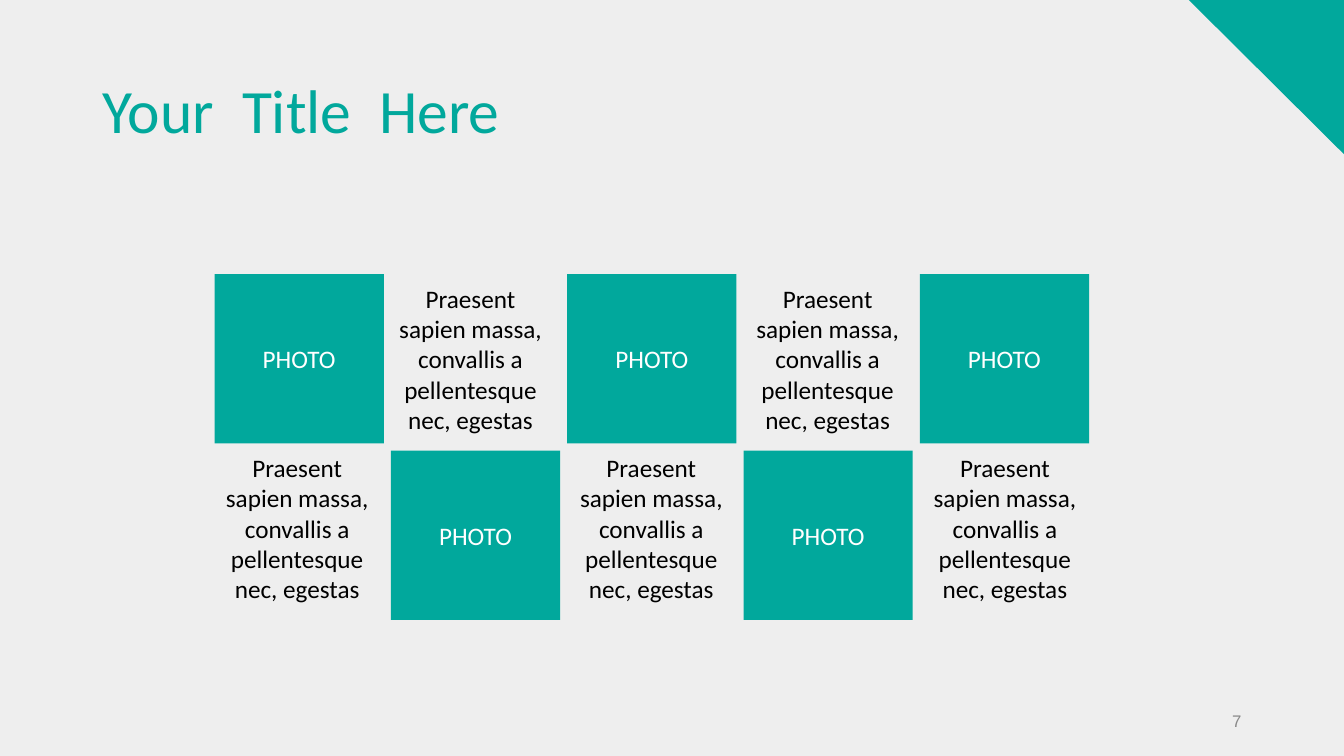
from pptx import Presentation
from pptx import util as u
from pptx.dml.color import RGBColor
from pptx.enum import shapes, text

TEAL, GREY, WHITE, BLACK, NUMBER_GREY = "01A89C", "EEEEEE", "FFFFFF", "000000", "898989"
TITLE = "Your  Title  Here"
PHOTO = "PHOTO"
CAPTION = "Praesent sapien massa, convallis a pellentesque nec, egestas"
PAGE_NUMBER = "7"

GRID_LEFT, GRID_TOP, TILE, PITCH = 2.13, 2.72, 1.68, 1.75
CAPTION_TOPS = [2.76, 4.44]
CAPTION_SPANS = [(2.07, 1.76), (3.77, 1.8), (5.58, 1.77), (7.35, 1.73), (9.11, 1.73)]
CAPTION_HEIGHT = 1.6


def color(value):
    return RGBColor.from_string(value)


def lengths(*values):
    return [u.Inches(value) for value in values]


def write(box, words, size, ink, align, anchor, font="Calibri"):
    frame = box.text_frame
    frame.word_wrap = True
    frame.vertical_anchor = anchor
    para = frame.paragraphs[0]
    para.text = words
    para.alignment = align
    para.font.name = font
    para.font.size = u.Pt(size)
    para.font.color.rgb = color(ink)
    return para


def add_block(page, kind, place, fill):
    block = page.shapes.add_shape(kind, *lengths(*place))
    block.shadow.inherit = False
    block.fill.solid()
    block.fill.fore_color.rgb = color(fill)
    block.line.fill.background()
    return block


def add_text(page, place, *style):
    return write(page.shapes.add_textbox(*lengths(*place)), *style)


def main():
    deck = Presentation()
    deck.slide_width, deck.slide_height = lengths(13.34, 7.5)
    page = deck.slides.add_slide(deck.slide_layouts[6])
    page.background.fill.solid()
    page.background.fill.fore_color.rgb = color(GREY)

    kinds, align, anchor = shapes.MSO_SHAPE, text.PP_ALIGN, text.MSO_ANCHOR
    corner = add_block(page, kinds.RIGHT_TRIANGLE, (11.8, 0, 1.54, 1.53), TEAL)
    corner.rotation = 180

    title = add_text(page, (0.92, 0.4, 11.5, 1.45), TITLE, 44, TEAL, align.LEFT, anchor.MIDDLE)
    title.line_spacing = 0.9

    for row, caption_top in enumerate(CAPTION_TOPS):
        for column, (caption_left, caption_width) in enumerate(CAPTION_SPANS):
            if (row + column) % 2 == 0:
                place = (GRID_LEFT + column * PITCH, GRID_TOP + row * PITCH, TILE, TILE)
                tile = add_block(page, kinds.RECTANGLE, place, TEAL)
                write(tile, PHOTO, 18, WHITE, align.CENTER, anchor.MIDDLE)
            else:
                place = (caption_left, caption_top, caption_width, CAPTION_HEIGHT)
                add_text(page, place, CAPTION, 18, BLACK, align.CENTER, anchor.TOP)

    add_text(page, (9.42, 6.95, 3, 0.4), PAGE_NUMBER, 12, NUMBER_GREY,
             align.RIGHT, anchor.MIDDLE, "Arial")
    deck.save("out.pptx")


if __name__ == "__main__":
    main()
